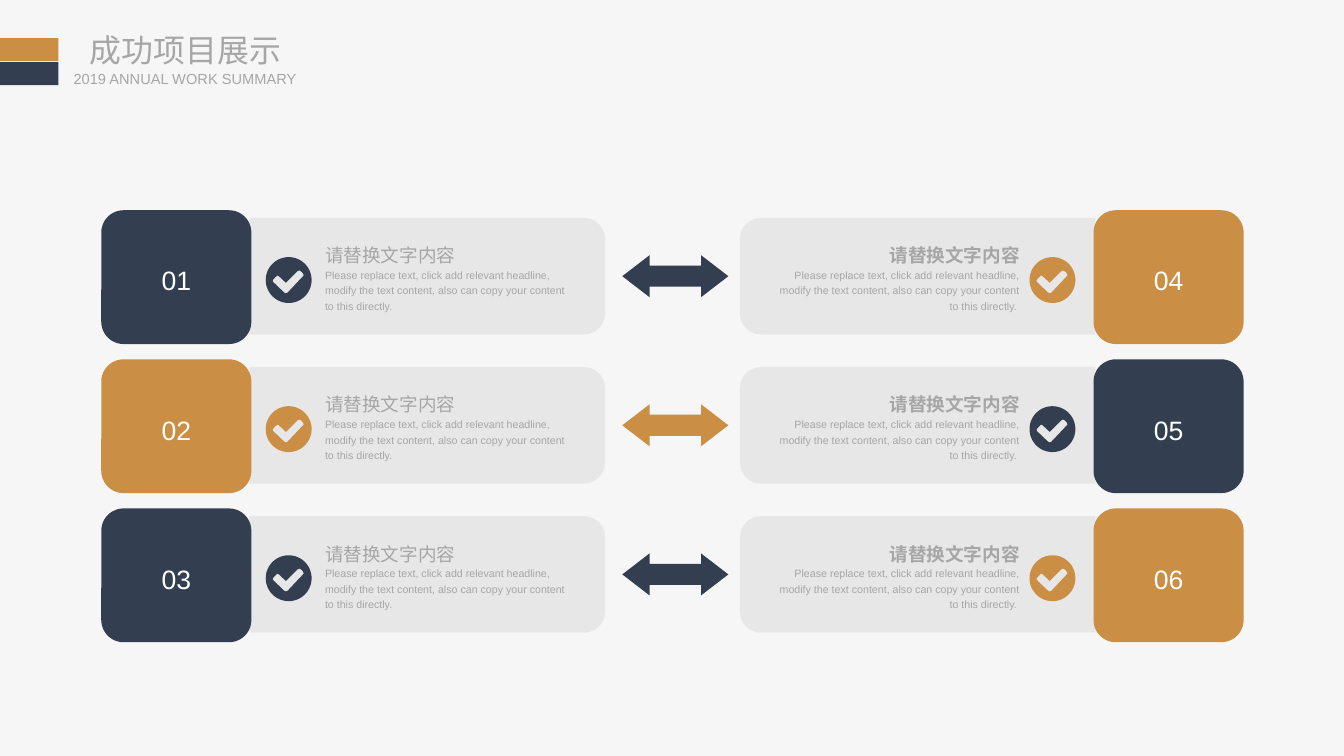
import math
from lxml import etree
from pptx import Presentation
from pptx import util as u
from pptx.dml import color
from pptx.enum import shapes, text
from pptx.oxml import ns

WIDE, HIGH = 14.06, 7.91
NAVY, GOLD, GREY, PALE, WHITE = "333F50", "CA8F45", "A6A6A6", "E6E6E6", "FFFFFF"
FORM, ALIGN, ANCHOR = shapes.MSO_SHAPE, text.PP_ALIGN, text.MSO_ANCHOR

# Rows and cards, in inches
TOP, PITCH = 2.2, 1.56
CARD_W, CARD_H = 5.27, 1.4
LEFT, RIGHT = 1.06, 7.74
HEAD = "请替换文字内容"
BODY = ("Please replace text, click add relevant headline, modify the text "
        "content, also can copy your content to this directly.")

# Tick outline, as shares of the badge size
TICK = [(.81, .35), (.77, .31), (.73, .29), (.69, .31), (.44, .56), (.29, .42),
        (.26, .4), (.23, .42), (.17, .48), (.15, .52), (.17, .55), (.4, .77),
        (.44, .79), (.48, .77), (.81, .42), (.83, .4)]


def rgb(code):
    return color.RGBColor.from_string(code)


def paint(shape, code):
    shape.shadow.inherit = False
    shape.fill.solid()
    shape.fill.fore_color.rgb = rgb(code)
    shape.line.fill.background()


def draw(slide, form, box, code):
    shape = slide.shapes.add_shape(form, *map(u.Inches, box))
    paint(shape, code)
    return shape


def setup(shape, anchor):
    frame = shape.text_frame
    frame.word_wrap = True
    frame.auto_size = text.MSO_AUTO_SIZE.NONE
    frame.vertical_anchor = anchor
    frame.margin_left = frame.margin_right = 0
    frame.margin_top = frame.margin_bottom = 0
    return frame.paragraphs[0]


def write(para, words, size, code, bold=False):
    run = para.add_run()
    run.text = words
    font = run.font
    font.name, font.size, font.bold = "Arial", u.Pt(size), bold
    font.color.rgb = rgb(code)


def label(slide, box, anchor):
    return setup(slide.shapes.add_textbox(*map(u.Inches, box)), anchor)


def badge(slide, box, code):
    """Disc with a tick cut out of it."""
    x, y, size, _ = box

    def spot(across, down):
        return u.Inches(x + across * size), u.Inches(y + down * size)

    turns = [math.tau * i / 72 for i in range(72)]
    ring = [spot(.5 + math.cos(t) / 2, .5 + math.sin(t) / 2) for t in turns]
    tick = [spot(*point) for point in TICK]
    pen = slide.shapes.build_freeform(*ring[0])
    pen.add_line_segments(ring[1:], close=True)
    pen.move_to(*tick[0])
    pen.add_line_segments(tick[1:], close=True)
    paint(pen.convert_to_shape(), code)


def panel(slide, box):
    """Pale panel, rounded on the side away from the number."""
    x, y, w, h, turn = box
    # The shape stands upright before it is turned about its centre
    upright = (x + (w - h) / 2, y + (h - w) / 2, h, w)
    shape = draw(slide, FORM.ROUND_2_SAME_RECTANGLE, upright, PALE)
    shape.adjustments[0] = .18
    shape.rotation = turn
    tint = shape.fill._xPr.find(".//" + ns.qn("a:srgbClr"))
    etree.SubElement(tint, ns.qn("a:alpha"), val="90000")


def card(slide, box, number, code, right):
    """Number, panel, tick and text; the right-hand card is mirrored."""
    x, y, w, h = box

    def place(inset, drop, wide, high):
        left = x + w - inset - wide if right else x + inset
        return left, y + drop, wide, high

    panel(slide, (*place(1.55, .08, 3.72, 1.22), 270 if right else 90))
    badge(slide, place(1.76 if right else 1.72, .49, .48, .48), code)

    para = label(slide, place(2.34, .31, 2.58, .77), ANCHOR.TOP)
    para.alignment = ALIGN.RIGHT if right else ALIGN.LEFT
    para.line_spacing = 1.2
    write(para, HEAD, 14, GREY, right)
    para.add_line_break()
    write(para, BODY + (" " if right else ""), 8, GREY)

    tile = draw(slide, FORM.ROUNDED_RECTANGLE, place(0, 0, 1.57, h), code)
    para = setup(tile, ANCHOR.MIDDLE)
    para.alignment, para.line_spacing = ALIGN.CENTER, 1.2
    write(para, number, 20, WHITE)


def arrow(slide, box, code):
    shape = draw(slide, FORM.LEFT_RIGHT_ARROW, box, code)
    shape.adjustments[0], shape.adjustments[1] = .5, .65


def header(slide):
    title = slide.shapes.title
    title.left, title.top, title.width, title.height = map(
        u.Inches, (.94, .32, 4.31, .4))
    para = setup(title, ANCHOR.MIDDLE)
    para.alignment = ALIGN.LEFT
    write(para, "成功项目展示", 24, GREY)
    para = label(slide, (.77, .73, 3.06, .19), ANCHOR.MIDDLE)
    write(para, "2019 ANNUAL WORK SUMMARY", 11, GREY)
    for i, code in enumerate((GOLD, NAVY)):
        draw(slide, FORM.RECTANGLE, (0, .4 + .25 * i, .61, .24), code)


def main():
    deck = Presentation()
    deck.slide_width, deck.slide_height = u.Inches(WIDE), u.Inches(HIGH)
    slide = deck.slides.add_slide(deck.slide_layouts[5])
    slide.background.fill.solid()
    slide.background.fill.fore_color.rgb = rgb("F6F6F6")

    header(slide)
    for row in range(3):
        y = TOP + PITCH * row
        near, far = (GOLD, NAVY) if row % 2 else (NAVY, GOLD)
        card(slide, (LEFT, y, CARD_W, CARD_H), f"{row + 1:02}", near, False)
        card(slide, (RIGHT, y, CARD_W, CARD_H), f"{row + 4:02}", far, True)
        arrow(slide, (6.51, y + .47, 1.11, .44), near)

    deck.save("out.pptx")


if __name__ == "__main__":
    main()
